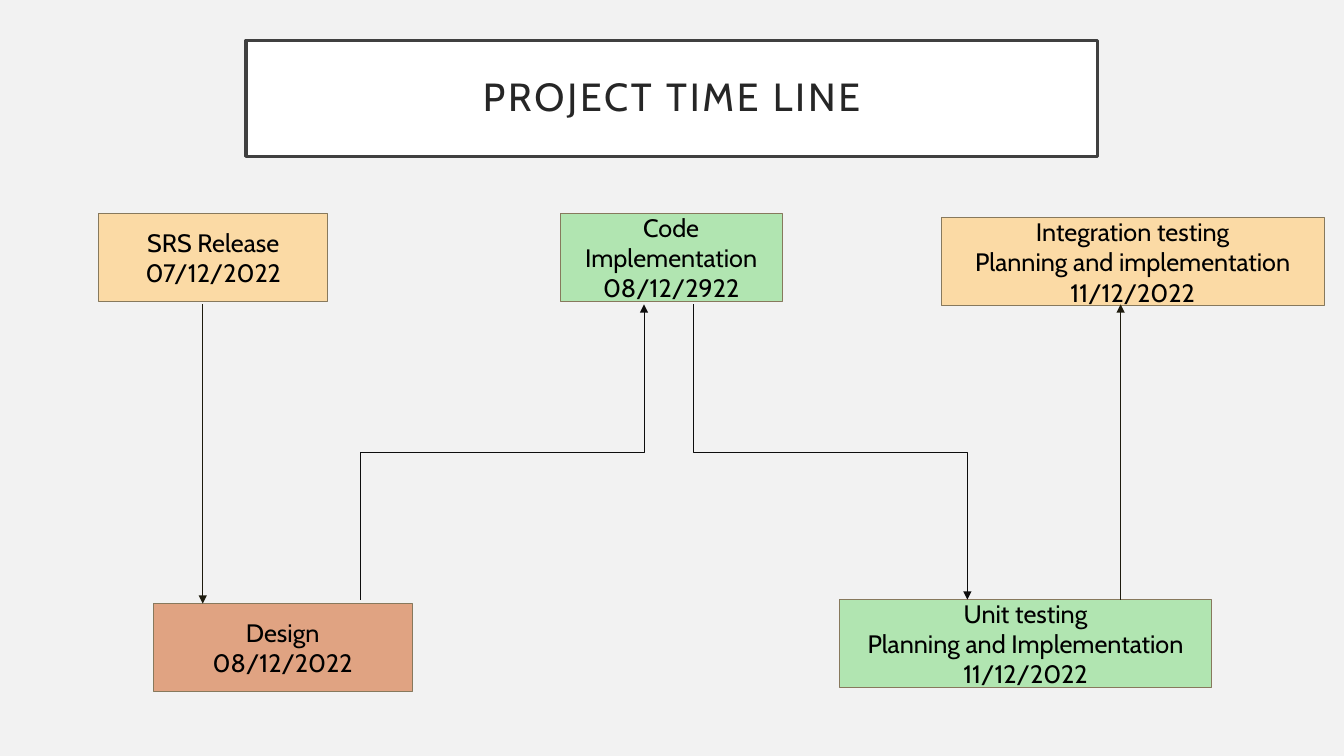
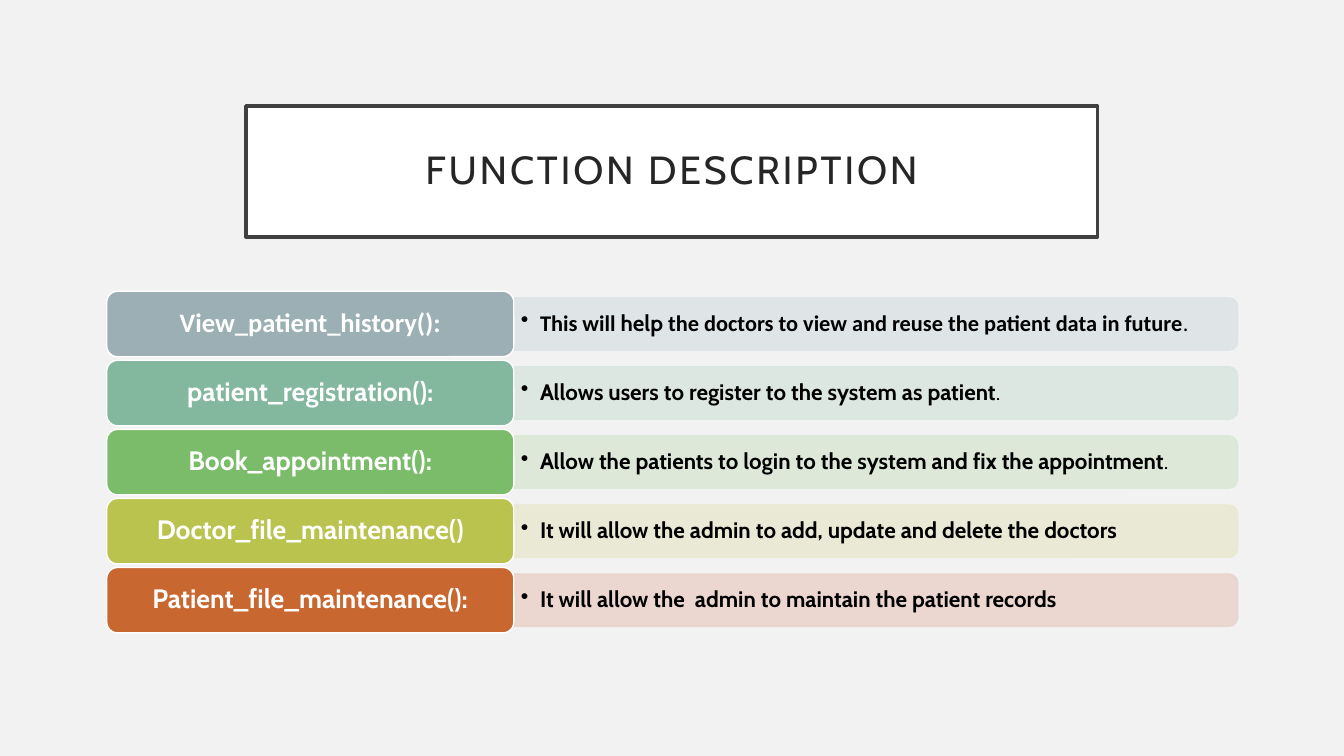
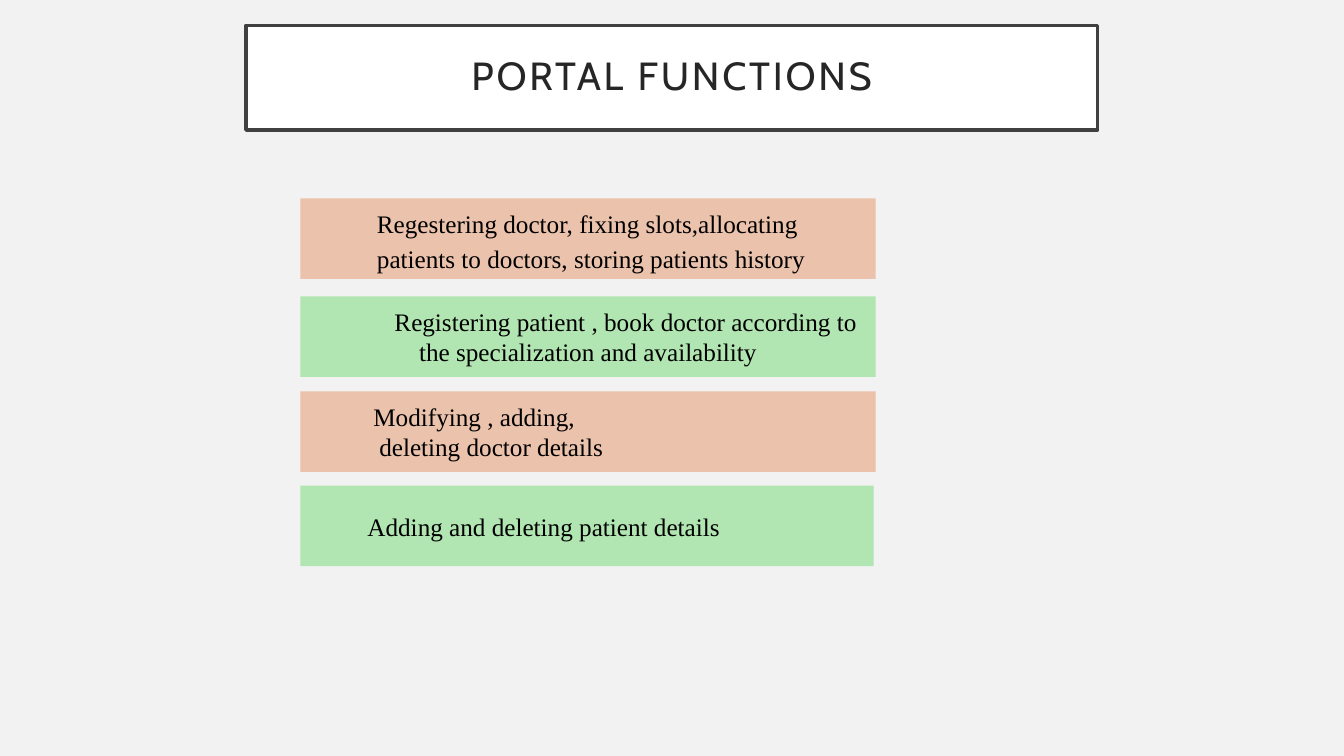
from dataclasses import dataclass
from typing import Optional

from lxml.etree import SubElement
from pptx import Presentation
from pptx.dml.color import RGBColor
from pptx.enum.shapes import MSO_CONNECTOR as Link, MSO_SHAPE as Preset
from pptx.enum.text import MSO_ANCHOR as Anchor, PP_ALIGN as Align
from pptx.oxml.ns import qn
from pptx.shapes.autoshape import Shape
from pptx.shapes.connector import Connector
from pptx.slide import Slide
from pptx.text.text import TextFrame
from pptx.util import Cm, Pt

COLORS = {
    "background": "F2F2F2",
    "white": "FFFFFF",
    "black": "000000",
    "title_border": "404040",
    "title_text": "262626",
    "step_border": "87795D",
    "straight_arrow": "1E1B0E",
    "bent_arrow": "0D0D0D",
    "sand": "FBDAA5",
    "green": "B1E5B1",
    "clay": "E0A382",
    "peach": "EBC2AB",
    "slate": "9BAFB5",
    "slate_tint": "DEE3E5",
    "teal": "83B79E",
    "teal_tint": "DAE6E0",
    "leaf": "7ABC69",
    "leaf_tint": "DBE8D6",
    "olive": "BAC34D",
    "olive_tint": "E9E9D2",
    "rust": "C96731",
    "rust_tint": "EBD3CD",
}
SANS, OFFICE, SERIF = "Cabin", "Calibri", "Times New Roman"


@dataclass(frozen=True)
class Span:
    text: str
    font: str = SANS
    bold: bool = False


@dataclass(frozen=True)
class Line:
    spans: tuple[Span, ...]
    align: Align = Align.LEFT
    margin: float = 0
    indent: float = 0
    spacing: float = 1.0
    bullet: bool = False


@dataclass(frozen=True)
class Box:
    left: float
    top: float
    width: float
    height: float


@dataclass(frozen=True)
class Step:
    box: Box
    fill: str
    texts: tuple[str, ...]


@dataclass(frozen=True)
class Arrow:
    x1: float
    y1: float
    x2: float
    y2: float


@dataclass(frozen=True)
class Function:
    name: str
    color: str
    spans: tuple[Span, ...]
    name_font: str = SANS


@dataclass(frozen=True)
class Duty:
    top: float
    width: float
    fill: str
    lines: tuple[Line, ...]


def rgb(color: str) -> RGBColor:
    return RGBColor.from_string(COLORS[color])


def write(frame: TextFrame, lines: tuple[Line, ...], size: float, color: str = "black",
          inset: tuple[float, float] = (0.25, 0.13), tracking: int = 0) -> None:
    frame.word_wrap = True
    frame.vertical_anchor = Anchor.MIDDLE
    frame.margin_left = frame.margin_right = Cm(inset[0])
    frame.margin_top = frame.margin_bottom = Cm(inset[1])
    for index, line in enumerate(lines):
        paragraph = frame.add_paragraph() if index else frame.paragraphs[0]
        properties = paragraph._p.get_or_add_pPr()
        properties.set("marL", str(Cm(line.margin)))
        properties.set("indent", str(Cm(line.indent)))
        if line.bullet:
            SubElement(properties, qn("a:buChar")).set("char", "•")
        paragraph.alignment = line.align
        paragraph.line_spacing = line.spacing
        for span in line.spans:
            run = paragraph.add_run()
            run.text = span.text
            run.font.name = span.font
            run.font.size = Pt(size)
            run.font.bold = span.bold
            run.font.color.rgb = rgb(color)
            if tracking:
                run._r.get_or_add_rPr().set("spc", str(tracking))


def draw_shape(slide: Slide, preset: Preset, box: Box, fill: str,
               border: Optional[str] = None, border_width: float = 1) -> Shape:
    shape = slide.shapes.add_shape(preset, Cm(box.left), Cm(box.top), Cm(box.width), Cm(box.height))
    shape.shadow.inherit = False
    shape.fill.solid()
    shape.fill.fore_color.rgb = rgb(fill)
    if border:
        shape.line.color.rgb = rgb(border)
        shape.line.width = Pt(border_width)
    else:
        shape.line.fill.background()
    return shape


def add_titled_slide(deck: Presentation, title: str, top: float, height: float) -> Slide:
    slide = deck.slides.add_slide(deck.slide_layouts[6])
    banner = draw_shape(slide, Preset.RECTANGLE, Box(6.2, top, 21.46, height),
                        "white", "title_border", 2.5)
    write(banner.text_frame, (Line((Span(title),), Align.CENTER, spacing=0.9),),
          28, "title_text", (0.51, 0.51), tracking=200)
    return slide


def finish_arrow(arrow: Connector, color: str) -> None:
    arrow.line.color.rgb = rgb(color)
    arrow.line.width = Pt(0.5)
    SubElement(arrow.line._get_or_add_ln(), qn("a:tailEnd")).set("type", "triangle")
    SubElement(arrow._element.spPr, qn("a:effectLst"))


def draw_straight_arrow(slide: Slide, a: Arrow) -> None:
    arrow = slide.shapes.add_connector(Link.STRAIGHT, Cm(a.x1), Cm(a.y1), Cm(a.x2), Cm(a.y2))
    finish_arrow(arrow, "straight_arrow")


def draw_bent_arrow(slide: Slide, a: Arrow) -> None:
    center_x, center_y = (a.x1 + a.x2) / 2, (a.y1 + a.y2) / 2
    turn = 1 if a.y2 < a.y1 else -1
    across = turn * (a.y1 - center_y)
    down = turn * (center_x - a.x1)
    arrow = slide.shapes.add_connector(
        Link.ELBOW, Cm(center_x + across), Cm(center_y + down),
        Cm(center_x - across), Cm(center_y - down))
    arrow._element.spPr.find(qn("a:xfrm")).set("rot", str((90 if turn == 1 else 270) * 60000))
    finish_arrow(arrow, "bent_arrow")


STEP_HEIGHT = 2.21
STEPS = (
    Step(Box(2.49, 5.38, 5.77, STEP_HEIGHT), "sand", ("SRS Release", "07/12/2022")),
    Step(Box(14.12, 5.38, 5.59, STEP_HEIGHT), "green", ("Code", "Implementation", "08/12/2922")),
    Step(Box(23.72, 5.49, 9.65, STEP_HEIGHT), "sand",
         ("Integration testing", "Planning and implementation", "11/12/2022")),
    Step(Box(3.86, 15.21, 6.53, STEP_HEIGHT), "clay", ("Design", "08/12/2022")),
    Step(Box(21.16, 15.11, 9.37, STEP_HEIGHT), "green",
         ("Unit testing", "Planning and Implementation", "11/12/2022")),
)
STRAIGHT_ARROWS = (Arrow(28.24, 15.11, 28.24, 7.67), Arrow(5.11, 7.67, 5.11, 15.21))
BENT_ARROWS = (Arrow(9.07, 15.11, 16.23, 7.67), Arrow(17.48, 7.67, 24.38, 15.11))

FUNCTIONS = (
    Function("View_patient_history():", "slate", (
        Span("This will ", OFFICE, True),
        Span("help", SANS, True),
        Span(" the doctors to view and reuse the patient data in future", OFFICE, True),
        Span(".", OFFICE)), OFFICE),
    Function("patient_registration():", "teal", (
        Span("Allows users to register to the system as patient", bold=True), Span("."))),
    Function("Book_appointment():", "leaf", (
        Span("Allow the patients to login to the system and fix the appointment", bold=True),
        Span("."))),
    Function("Doctor_file_maintenance()", "olive", (
        Span("It will allow the admin to add, update and delete the doctors", bold=True),)),
    Function("Patient_file_maintenance():", "rust", (
        Span("It will allow the  admin to maintain the patient records", bold=True),)),
)

DUTIES = (
    Duty(5.0, 14.5, "peach", (
        Line((Span("Regestering doctor, fixing slots,allocating patients to doctors, "
                   "storing patients history", SERIF),), margin=1.68, spacing=1.15),)),
    Duty(7.47, 14.5, "green", (
        Line((Span("Registering patient , book doctor according to "
                   "the specialization and availability", SERIF),), Align.CENTER, indent=1.9),)),
    Duty(9.86, 14.5, "peach", (
        Line((Span("Modifying , adding,", SERIF),), margin=1.59),
        Line((Span("deleting doctor details", SERIF),), margin=1.74))),
    Duty(12.24, 14.45, "green", (
        Line((Span("Adding and deleting patient details", SERIF),), margin=1.44),)),
)


def build_timeline(deck: Presentation) -> None:
    slide = add_titled_slide(deck, "PROJECT TIME LINE", 1.02, 2.92)
    for step in STEPS:
        card = draw_shape(slide, Preset.RECTANGLE, step.box, step.fill, "step_border", 0.5)
        lines = tuple(Line((Span(text),), Align.CENTER) for text in step.texts)
        write(card.text_frame, lines, 18)
    for arrow in STRAIGHT_ARROWS:
        draw_straight_arrow(slide, arrow)
    for arrow in BENT_ARROWS:
        draw_bent_arrow(slide, arrow)


def build_functions(deck: Presentation) -> None:
    slide = add_titled_slide(deck, "FUNCTION DESCRIPTION", 2.67, 3.3)
    label_left, label_width, label_height = 2.69, 10.26, 1.65
    bar_left, bar_length, bar_height = label_left + label_width, 18.24, 1.32
    first_top, pitch = 7.34, 1.74
    for index, function in enumerate(FUNCTIONS):
        top = first_top + index * pitch
        middle = top + label_height / 2
        tint = function.color + "_tint"
        bar = draw_shape(
            slide, Preset.ROUND_2_SAME_RECTANGLE,
            Box(bar_left + (bar_length - bar_height) / 2, middle - bar_length / 2,
                bar_height, bar_length), tint, tint)
        bar.rotation = 90
        for color in bar._element.spPr.iter(qn("a:srgbClr")):
            SubElement(color, qn("a:alpha")).set("val", "90000")
        description = slide.shapes.add_textbox(
            Cm(bar_left), Cm(middle - bar_height / 2), Cm(bar_length), Cm(bar_height))
        write(description.text_frame,
              (Line(function.spans, margin=0.48, indent=-0.48, spacing=0.9, bullet=True),),
              16, inset=(0.18, 0.08))
        label = draw_shape(slide, Preset.ROUNDED_RECTANGLE,
                           Box(label_left, top, label_width, label_height),
                           function.color, "white")
        name = Span(function.name, function.name_font, True)
        write(label.text_frame, (Line((name,), Align.CENTER, spacing=0.9),), 19, "white",
              (0.2, 0.1))


def build_portal(deck: Presentation) -> None:
    slide = add_titled_slide(deck, "PORTAL FUNCTIONS", 0.64, 2.64)
    for duty in DUTIES:
        band = draw_shape(slide, Preset.RECTANGLE, Box(7.57, duty.top, duty.width, 2.03), duty.fill)
        write(band.text_frame, duty.lines, 18)


def main() -> None:
    deck = Presentation()
    deck.slide_width, deck.slide_height = Cm(33.87), Cm(19.05)
    backdrop = deck.slide_master.background.fill
    backdrop.solid()
    backdrop.fore_color.rgb = rgb("background")
    build_timeline(deck)
    build_functions(deck)
    build_portal(deck)
    deck.save("out.pptx")


if __name__ == "__main__":
    main()
